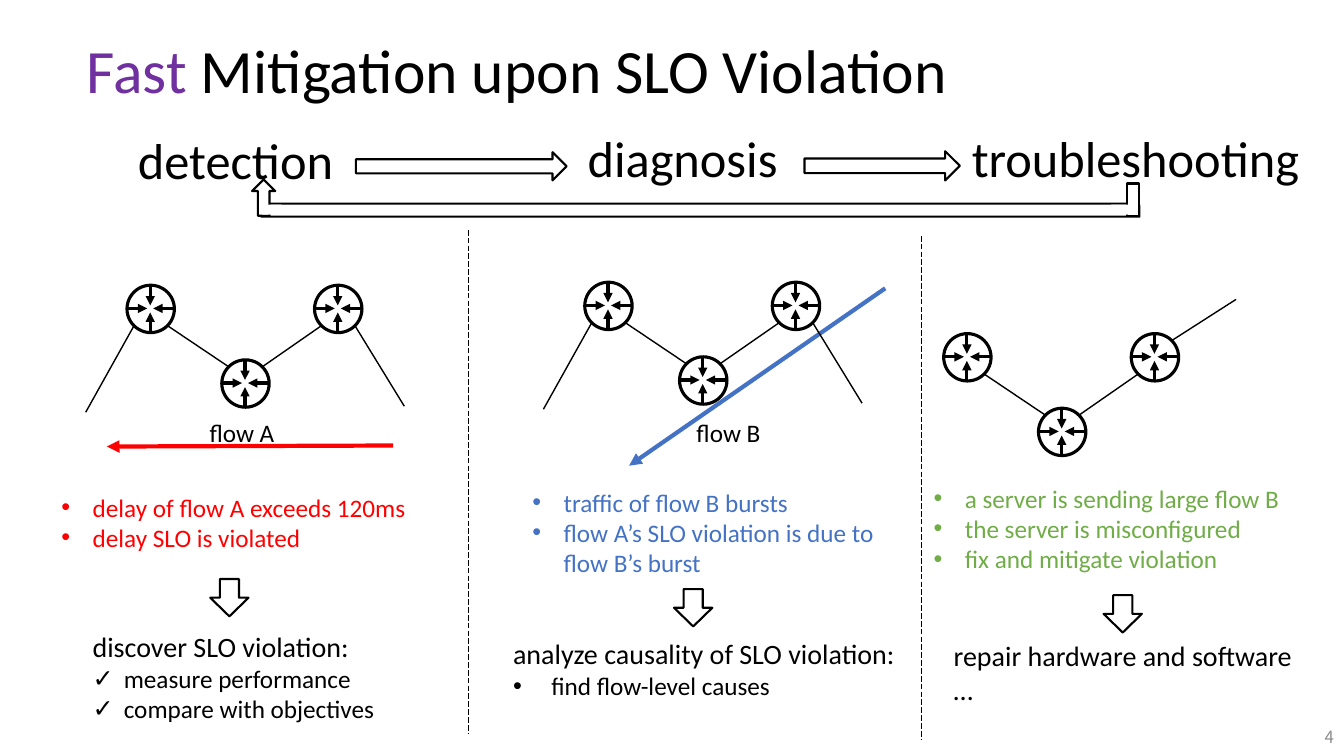
import lxml.etree
import pptx
import pptx.dml.color
import pptx.enum.dml
import pptx.enum.shapes
import pptx.enum.text
import pptx.oxml.ns
import pptx.util

PX = 9144
BLACK, WHITE, GREY = "000000", "FFFFFF", "8C8C8C"
RED, BLUE, GREEN, PURPLE = "FF0000", "4472C4", "70AD47", "7030A0"
SHAPE = pptx.enum.shapes.MSO_SHAPE
ALIGN = pptx.enum.text.PP_ALIGN
ANCHOR = pptx.enum.text.MSO_ANCHOR


def px(*lengths):
    return [pptx.util.Emu(length * PX) for length in lengths]


def color(value):
    return pptx.dml.color.RGBColor.from_string(value)


def add_xml(parent, tag, **attributes):
    lxml.etree.SubElement(parent, pptx.oxml.ns.qn(tag), attributes)


class SlideBuilder:
    """Draws styled elements on one slide, with lengths in px of 1/100 inch."""

    font = "Calibri"

    def __init__(self, slide):
        self.slide = slide

    def place(self, box, at):
        box.left, box.top, box.width, box.height = px(*at)
        frame = box.text_frame
        frame.auto_size = pptx.enum.text.MSO_AUTO_SIZE.NONE
        frame.word_wrap = True
        frame.margin_left, frame.margin_top, frame.margin_right, frame.margin_bottom = px(10, 5, 10, 5)
        frame.vertical_anchor = ANCHOR.TOP
        return frame

    def style(self, para, size, ink, font=None):
        para.space_before = pptx.util.Pt(0)
        para.font.name = font or self.font
        para.font.size = pptx.util.Pt(size)
        para.font.bold = False
        para.font.color.rgb = color(ink)

    def title(self, at, size, spans):
        frame = self.place(self.slide.shapes.title, at)
        frame.vertical_anchor = ANCHOR.MIDDLE
        para = frame.paragraphs[0]
        para.alignment = ALIGN.LEFT
        para.line_spacing = 0.9
        self.style(para, size, BLACK)
        for text, ink in spans:
            span = para.add_run()
            span.text = text
            span.font.color.rgb = color(ink)

    def text(self, at, lines, ink=BLACK, holder=None, font=None):
        box = holder or self.slide.shapes.add_textbox(*px(*at))
        frame = self.place(box, at)
        for number, (content, size, bullet, indent) in enumerate(lines):
            para = frame.add_paragraph() if number else frame.paragraphs[0]
            para.text = content
            para.alignment = ALIGN.LEFT
            if bullet:
                properties = para._p.get_or_add_pPr()
                properties.set("marL", str(indent * PX))
                properties.set("indent", str(-indent * PX))
                add_xml(properties, "a:buFont", typeface="Arial")
                add_xml(properties, "a:buChar", char=bullet)
            self.style(para, size, ink, font)
        return frame

    def label(self, at, content, size):
        self.text(at, [(content, size, None, 0)])

    def page_number(self, at, content):
        frame = self.text(at, [(content, 12, None, 0)], GREY, font="Noto Sans CJK SC")
        frame.vertical_anchor = ANCHOR.MIDDLE
        frame.paragraphs[0].alignment = ALIGN.RIGHT

    def shape(self, kind, at, fill=None, weight=1.5, rotation=0, shapes=None):
        shape = (shapes or self.slide.shapes).add_shape(kind, *px(*at))
        shape.shadow.inherit = False
        shape.rotation = rotation
        if fill:
            shape.fill.solid()
            shape.fill.fore_color.rgb = color(fill)
        else:
            shape.fill.background()
        if weight:
            shape.line.color.rgb = color(BLACK)
            shape.line.width = pptx.util.Pt(weight)
        else:
            shape.line.fill.background()

    def line(self, start, end, weight=1, ink=BLACK, arrow=False, dash=None, shapes=None):
        line = (shapes or self.slide.shapes).add_connector(
            pptx.enum.shapes.MSO_CONNECTOR.STRAIGHT, *px(*start, *end))
        line.line.color.rgb = color(ink)
        line.line.width = pptx.util.Pt(weight)
        if dash:
            line.line.dash_style = dash
        properties = line._element.spPr
        if arrow:
            add_xml(properties.find(pptx.oxml.ns.qn("a:ln")), "a:tailEnd", type="triangle")
        add_xml(properties, "a:effectLst")

    def router(self, x, y, fill=None):
        shapes = self.slide.shapes.add_group_shape().shapes
        self.shape(SHAPE.OVAL, (x, y, 47, 47), fill, 2.25, shapes=shapes)
        for start, end in (((23, 0), (23, 20)), ((23, 46), (23, 27)),
                           ((0, 23), (20, 23)), ((46, 23), (26, 23))):
            self.line((x + start[0], y + start[1]), (x + end[0], y + end[1]),
                      2.25, arrow=True, shapes=shapes)

    def network(self, x, y, outer_links):
        self.router(x, y)
        self.router(x + 94, y + 74, WHITE)
        self.router(x + 186, y)
        inner_links = [((40, 40), (101, 81)), ((134, 81), (193, 40))]
        for start, end in inner_links + outer_links:
            self.line((x + start[0], y + start[1]), (x + end[0], y + end[1]))


def main():
    deck = pptx.Presentation()
    deck.slide_width, deck.slide_height = px(1333, 750)
    slide = deck.slides.add_slide(deck.slide_layouts.get_by_name("Comparison"))
    page = SlideBuilder(slide)
    page.title((76, 0, 1150, 145), 44,
               [("Fast", PURPLE), (" Mitigation upon SLO Violation", BLACK)])

    page.label((127, 123, 226, 71), "detection", 36)
    page.label((573, 121, 226, 71), "diagnosis", 36)
    page.label((954, 121, 351, 71), "troubleshooting", 36)
    page.shape(SHAPE.RIGHT_ARROW, (353, 151, 209, 28))
    page.shape(SHAPE.RIGHT_ARROW, (798, 150, 154, 29))

    page.shape(SHAPE.ROUND_1_RECTANGLE, (259, 202, 871, 13))
    page.shape(SHAPE.RECTANGLE, (1118, 182, 12, 32), WHITE)
    page.shape(SHAPE.DOWN_ARROW, (250, 178, 23, 36), WHITE, rotation=180)
    for x in (260, 1102):
        page.shape(SHAPE.ROUND_1_RECTANGLE, (x, 203, 20, 10), WHITE, 0)

    for x, top in ((465, 228), (914, 234)):
        page.line((x, top), (x, top + 499), 0.5, dash=pptx.enum.dml.MSO_LINE.LONG_DASH)

    page.line((390, 442), (106, 443), 3, RED, arrow=True)
    page.line((878, 286), (624, 462), 3, BLUE, arrow=True)
    both_sides = [((-41, 126), (7, 40)), ((226, 40), (275, 120))]
    page.network(126, 283, both_sides)
    page.network(580, 280, both_sides)
    page.network(936, 331, [((226, 7), (290, -34))])
    page.label((198, 409, 137, 40), "flow A", 18)
    page.label((681, 409, 137, 40), "flow B", 18)

    findings = [
        ((51, 483, 487, 71), RED, ["delay of flow A exceeds 120ms", "delay SLO is violated"]),
        ((518, 478, 362, 101), BLUE,
         ["traffic of flow B bursts", "flow A’s SLO violation is due to flow B’s burst"]),
        ((916, 474, 396, 101), GREEN,
         ["a server is sending large flow B", "the server is misconfigured",
          "fix and mitigate violation"]),
    ]
    *holders, spare = list(slide.placeholders)[1:]
    for (at, ink, items), holder in zip(findings, holders):
        page.text(at, [(item, 18, "•", 31) for item in items], ink, holder)
    spare._element.getparent().remove(spare._element)

    for x, y in ((209, 574), (669, 584), (1095, 590)):
        page.shape(SHAPE.RIGHT_ARROW, (x, y, 37, 38), rotation=90)

    page.text((82, 620, 316, 104), [("discover SLO violation:", 20, None, 0),
                                    ("measure performance", 18, "✓", 31),
                                    ("compare with objectives", 18, "✓", 31)])
    page.text((499, 627, 400, 74), [("analyze causality of SLO violation:", 20, None, 0),
                                    ("find flow-level causes", 18, "•", 38)])
    page.text((936, 629, 400, 77), [("repair hardware and software", 20, None, 0),
                                    ("…", 20, None, 0)])
    page.page_number((1033, 711, 300, 40), "4")
    deck.save("out.pptx")


if __name__ == "__main__":
    main()
